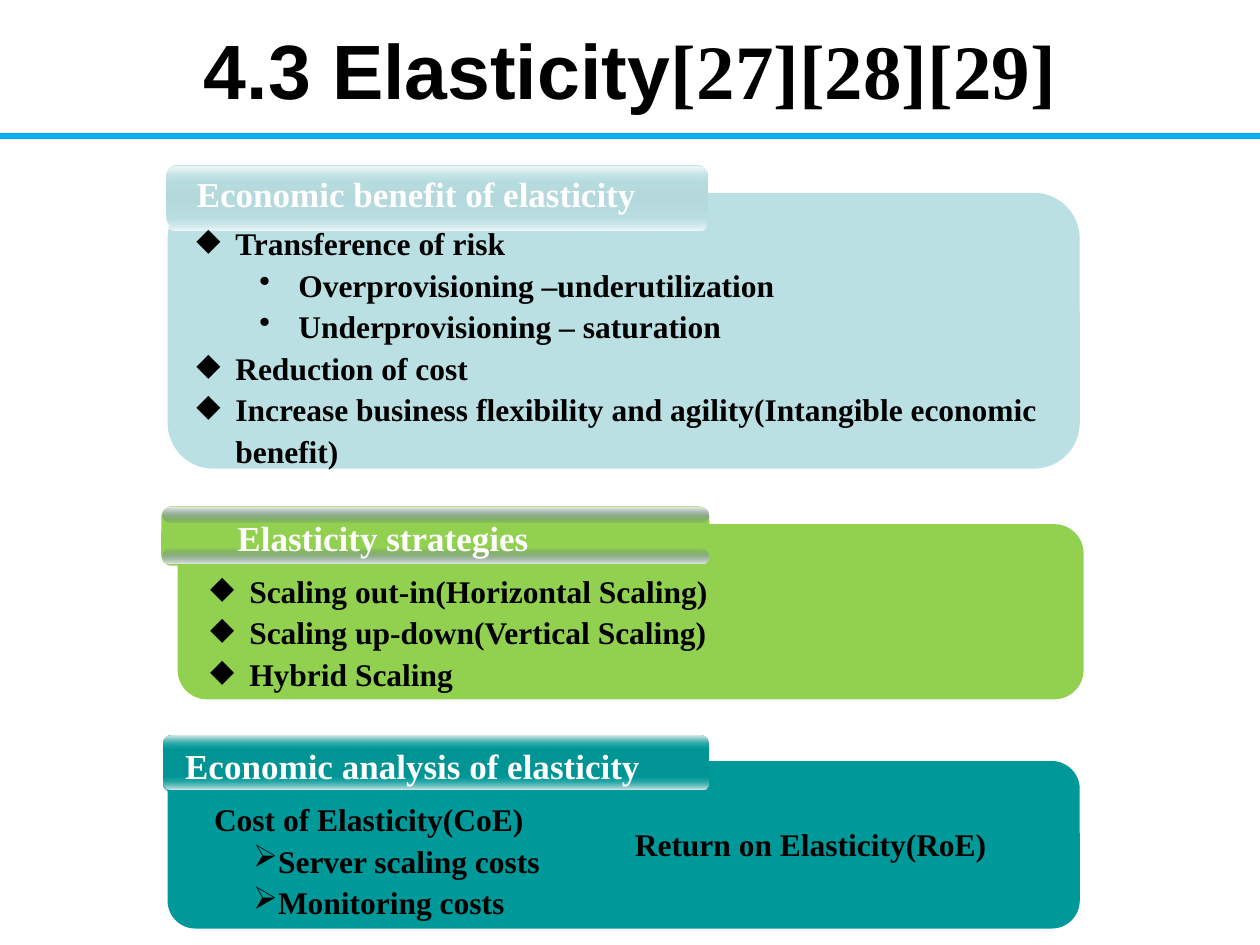
from typing import NamedTuple

from lxml.etree import SubElement
from pptx import Presentation
from pptx.dml.color import RGBColor
from pptx.enum.shapes import MSO_CONNECTOR as Connector, MSO_SHAPE as Shape
from pptx.enum.text import MSO_AUTO_SIZE as AutoSize, PP_ALIGN as Align
from pptx.oxml.ns import qn
from pptx.util import Inches, Pt

BLACK = RGBColor(0x00, 0x00, 0x00)
WHITE = RGBColor(0xFF, 0xFF, 0xFF)
SKY = RGBColor(0x00, 0xB0, 0xF0)
PALE_BLUE = RGBColor(0xBB, 0xE0, 0xE3)
PALE_BLUE_MIDDLE = RGBColor(0xB4, 0xD8, 0xDB)
PALE_BLUE_GLOSS = RGBColor(0xF3, 0xF9, 0xFA)
GREEN = RGBColor(0x92, 0xD0, 0x50)
INDIGO = RGBColor(0x33, 0x33, 0x99)
INDIGO_GLOSS = RGBColor(0xEB, 0xEB, 0xF2)
TEAL = RGBColor(0x00, 0x99, 0x99)
TEAL_MIDDLE = RGBColor(0x00, 0x94, 0x94)
TEAL_GLOSS = RGBColor(0xE4, 0xED, 0xED)

SERIF = "Times New Roman"
SANS = "Arial"
SLIDE_WIDTH, SLIDE_HEIGHT = Inches(10), Inches(7.5)
COLUMN, ROW = SLIDE_WIDTH / 100, SLIDE_HEIGHT / 75


class Box(NamedTuple):
    """A rectangle in grid columns and rows."""
    left: float
    top: float
    width: float
    height: float

    def within(self, left, top, width, height):
        """Return a box offset from this one's corner."""
        return Box(self.left + left, self.top + top, width, height)

    def lengths(self):
        """Return the rectangle as slide lengths."""
        return (int(self.left * COLUMN), int(self.top * ROW),
                int(self.width * COLUMN), int(self.height * ROW))


class Item(NamedTuple):
    """A paragraph's text, bullet, left margin and first-line indent."""
    text: str
    bullet: str = ""
    margin: float = 0
    indent: float = 0
    level: int = 0


def diamond(text):
    """Return a main point."""
    return Item(text, "◆", 0.31, -0.31)


def dot(text):
    """Return a second-level point."""
    return Item(text, "•", 0.81, -0.31, 1)


def arrow(text):
    """Return a point with an arrowhead bullet."""
    return Item(text, "➢", 0.31)


def add_run(paragraph, text, size=18, font=SERIF, color=BLACK):
    """Append bold text in the given format."""
    run = paragraph.add_run()
    run.text = text
    run.font.size, run.font.name, run.font.bold = Pt(size), font, True
    run.font.color.rgb = color


def add_text(slide, box, items, align=Align.LEFT, spacing=1.1, wrap=True, **style):
    """Place a text box with one paragraph per item."""
    frame = slide.shapes.add_textbox(*box.lengths()).text_frame
    frame.word_wrap = wrap
    frame.auto_size = AutoSize.SHAPE_TO_FIT_TEXT
    for index, item in enumerate(items):
        paragraph = frame.add_paragraph() if index else frame.paragraphs[0]
        paragraph.alignment, paragraph.line_spacing = align, spacing
        paragraph.level = item.level
        if item.bullet:
            properties = paragraph._p.get_or_add_pPr()
            properties.set("marL", str(Inches(item.margin)))
            properties.set("indent", str(Inches(item.indent)))
            SubElement(properties, qn("a:buChar"), char=item.bullet)
        add_run(paragraph, item.text, **style)


def add_rounded(slide, box, radius, color=None, stops=()):
    """Place a rounded bar with a plain fill or (position, color, alpha) stops."""
    shape = slide.shapes.add_shape(Shape.ROUNDED_RECTANGLE, *box.lengths())
    shape.adjustments[0] = radius
    shape.shadow.inherit = False
    shape.line.fill.background()
    if not stops:
        shape.fill.solid()
        shape.fill.fore_color.rgb = color
        return
    shape.fill.gradient()
    gradient = shape._element.spPr.find(qn("a:gradFill"))
    for child in list(gradient):
        gradient.remove(child)
    stop_list = SubElement(gradient, qn("a:gsLst"))
    for position, stop_color, alpha in stops:
        stop = SubElement(stop_list, qn("a:gs"), pos=str(position * 1000))
        value = SubElement(stop, qn("a:srgbClr"), val=str(stop_color))
        SubElement(value, qn("a:alpha"), val=str(alpha * 1000))
    SubElement(gradient, qn("a:lin"), ang="5400000", scaled="1")


def add_tab(slide, box, color, middle, tint, gloss, overhang):
    """Place a heading tab with a glossy strip along its top and bottom."""
    bands = [(0, color, 100), (50, middle, 100), (100, color, 100)] if middle else ()
    add_rounded(slide, box, 0.175, color, bands)
    width, height = box.width - 0.2, box.height * 0.24
    bottom = box.height - height + overhang
    add_rounded(slide, box.within(0.1, bottom, width, height), 0.5,
                stops=[(0, tint, 0), (100, gloss, 100)])
    add_rounded(slide, box.within(0.1, 0.1, width, height), 0.5,
                stops=[(0, gloss, 100), (100, tint, 0)])


def add_panel(slide, box, tab, heading, heading_box, texts, color, tint, gloss,
              middle=None, overhang=-0.2, wrap=False):
    """Place a panel, its heading tab and its text boxes, all relative to box."""
    add_rounded(slide, box, 0.167, color)
    add_tab(slide, box.within(*tab), color, middle, tint, gloss, overhang)
    for place, items in texts:
        add_text(slide, box.within(*place), items)
    add_text(slide, box.within(*heading_box), [Item(heading)], align=Align.CENTER,
             spacing=1, wrap=wrap, size=20, color=WHITE)


def add_title(slide, box):
    """Place the title and the rule across the slide below it."""
    frame = slide.shapes.add_textbox(*box.lengths()).text_frame
    frame.word_wrap = True
    frame.margin_top = int(1.2 * ROW)
    paragraph = frame.paragraphs[0]
    paragraph.alignment = Align.CENTER
    add_run(paragraph, "4.3 Elasticity", size=44, font=SANS)
    add_run(paragraph, "[27][28][29]", size=44)
    level = int((box.top + 10.2) * ROW)
    rule = slide.shapes.add_connector(Connector.STRAIGHT, 0, level, SLIDE_WIDTH, level)
    rule.line.color.rgb, rule.line.width = SKY, Pt(3)
    SubElement(rule._element.spPr, qn("a:effectLst"))


def main():
    """Build the elasticity slide."""
    presentation = Presentation()
    presentation.slide_width, presentation.slide_height = SLIDE_WIDTH, SLIDE_HEIGHT
    slide = presentation.slides.add_slide(presentation.slide_layouts[6])
    add_title(slide, Box(5, 0.6, 90, 12.5))
    add_panel(
        slide, Box(13.3, 15.3, 72.4, 21.9), (-0.1, -2.2, 43, 5),
        "Economic benefit of elasticity", (-3.5, -2.1, 46.5, 4.4),
        [((1.3, 1.7, 71, 21), [
            diamond("Transference of risk"),
            dot("Overprovisioning –underutilization"),
            dot("Underprovisioning – saturation"),
            diamond("Reduction of cost"),
            diamond("Increase business flexibility and agility"
                    "(Intangible economic benefit)")])],
        PALE_BLUE, PALE_BLUE, PALE_BLUE_GLOSS, PALE_BLUE_MIDDLE, 0.2, True)
    add_panel(
        slide, Box(14.1, 41.6, 71.9, 13.9), (-1.3, -1.4, 43.5, 4.7),
        "Elasticity strategies", (3.2, -1.1, 26.2, 4.4),
        [((1.6, 3, 63.2, 11), [
            diamond("Scaling out-in(Horizontal Scaling)"),
            diamond("Scaling up-down(Vertical Scaling)"),
            diamond("Hybrid Scaling")])],
        GREEN, INDIGO, INDIGO_GLOSS)
    add_panel(
        slide, Box(13.3, 60.4, 72.4, 13.3), (-0.4, -2.1, 43.4, 4.6),
        "Economic analysis of elasticity", (0.3, -1.8, 38.3, 4.4),
        [((2.7, 2.3, 29.2, 11), [
            Item("Cost of Elasticity(CoE)"),
            arrow("Server scaling costs"),
            arrow("Monitoring costs")]),
         ((36.1, 4.3, 32.1, 4.3), [Item("Return on Elasticity(RoE)")])],
        TEAL, TEAL, TEAL_GLOSS, TEAL_MIDDLE)
    presentation.save("out.pptx")


if __name__ == "__main__":
    main()
